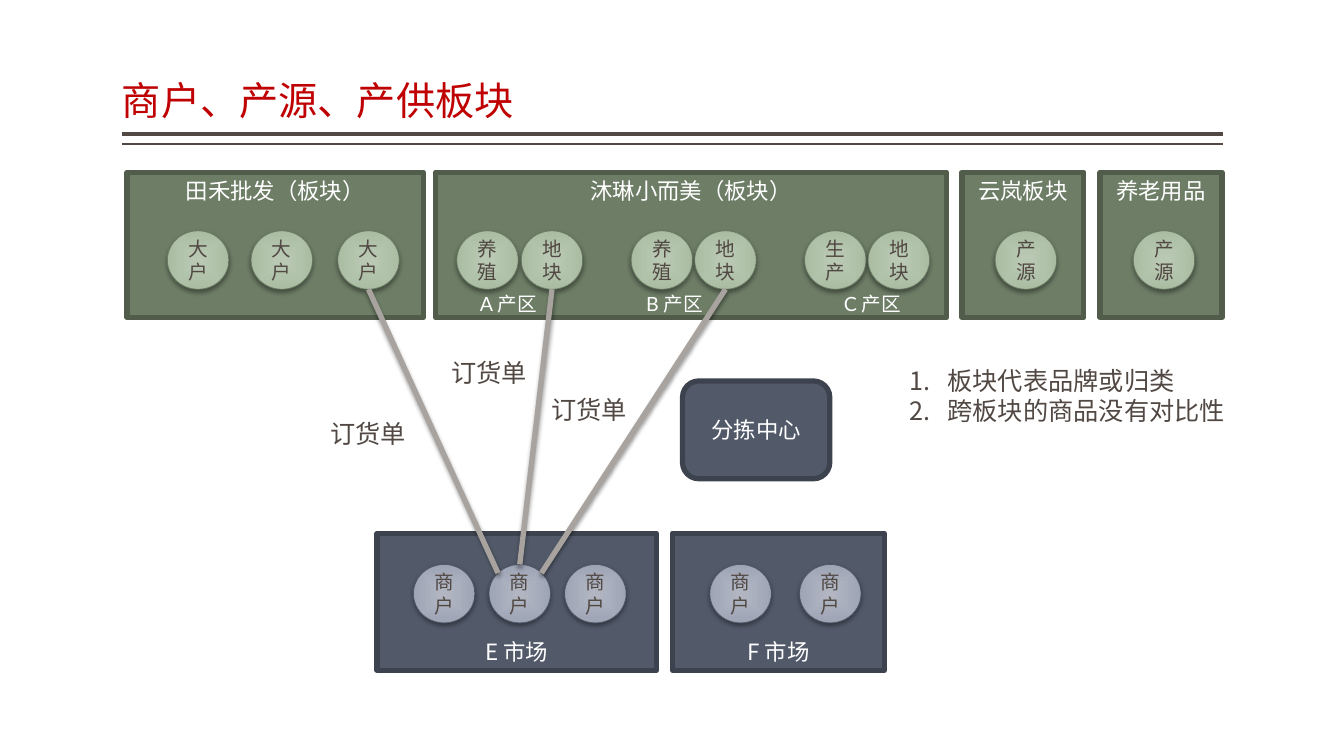
from dataclasses import dataclass
from math import cos, pi, sin

from lxml import etree
from pptx import Presentation
from pptx.dml.color import RGBColor
from pptx.enum.shapes import MSO_CONNECTOR, MSO_SHAPE
from pptx.enum.text import MSO_ANCHOR, MSO_AUTO_SIZE, PP_ALIGN
from pptx.oxml.ns import qn
from pptx.shapes.autoshape import Shape
from pptx.shapes.connector import Connector
from pptx.slide import Slide
from pptx.text.text import _Paragraph
from pptx.util import Pt

STRAIGHT = MSO_CONNECTOR.STRAIGHT
RECT, ROUND_RECT, OVAL = MSO_SHAPE.RECTANGLE, MSO_SHAPE.ROUNDED_RECTANGLE, MSO_SHAPE.OVAL
TOP, MIDDLE, BOTTOM = MSO_ANCHOR.TOP, MSO_ANCHOR.MIDDLE, MSO_ANCHOR.BOTTOM
LEFT, CENTER = PP_ALIGN.LEFT, PP_ALIGN.CENTER
FIT_SHAPE, NO_FIT = MSO_AUTO_SIZE.SHAPE_TO_FIT_TEXT, MSO_AUTO_SIZE.NONE

EMU_PER_PX = 9144
NODE_W, NODE_H = 61, 58
OVAL_SITES = 8
SITE_TOP, SITE_TOP_LEFT, SITE_BOTTOM, SITE_TOP_RIGHT = 0, 1, 4, 7


@dataclass(frozen=True)
class Palette:
    panel: str
    panel_line: str
    node_inner: str
    node_outer: str
    node_line: str


@dataclass(frozen=True)
class Theme:
    cjk: str = "Noto Sans CJK SC"
    latin: str = "Lato"
    title: str = "BF0102"
    text: str = "514843"
    light: str = "FFFFFF"
    order: str = "A8A39E"
    shadow: str = "000000"
    title_size: int = 28
    note_size: int = 18
    panel_size: int = 16
    node_size: int = 14
    panel_line: float = 3.78
    node_line: float = 0.5
    order_line: float = 3.82
    green: Palette = Palette("6D7D66", "515C4B", "BAC9B4", "AABDA3", "6A7B63")
    slate: Palette = Palette("525A6A", "3D434E", "B1B6C2", "9EA5B5", "505868")


THEME = Theme()


@dataclass(frozen=True)
class Panel:
    label: str
    x: int
    w: int
    nodes: tuple[tuple[str, int], ...]


@dataclass(frozen=True)
class Row:
    y: int
    h: int
    node_y: int
    anchor: MSO_ANCHOR
    palette: Palette
    panels: tuple[Panel, ...]


@dataclass(frozen=True)
class Label:
    text: str
    x: int
    y: int
    w: int
    h: int
    size: int
    color: str


SOURCES = Row(171, 144, 229, TOP, THEME.green, (
    Panel("田禾批发（板块）", 126, 294, (("大户", 166), ("大户", 249), ("大户", 335))),
    Panel("沐琳小而美（板块）", 432, 507, (
        ("养殖", 453), ("地块", 517), ("养殖", 626),
        ("地块", 689), ("生产", 798), ("地块", 861))),
    Panel("云岚板块", 954, 121, (("产源", 987),)),
    Panel("养老用品", 1091, 121, (("产源", 1124),)),
))
MARKETS = Row(529, 136, 560, BOTTOM, THEME.slate, (
    Panel("E 市场", 374, 277, (("商户", 410), ("商户", 485), ("商户", 560))),
    Panel("F 市场", 667, 210, (("商户", 704), ("商户", 793))),
))
LABELS = tuple(
    Label(f"{name} 产区", x, 285, w, 34, THEME.node_size, THEME.light)
    for name, x, w in (("A", 466, 99), ("B", 631, 99), ("C", 827, 88))
) + tuple(
    Label("订货单", x, y, w, 40, THEME.note_size, THEME.text)
    for x, y, w in ((438, 350, 99), (318, 410, 108), (537, 386, 99))
)
NOTES = ("板块代表品牌或归类", "跨板块的商品没有对比性")
TITLE_RULES = ((133, 3), (143, 1))


def px(n: float) -> int:
    return round(n * EMU_PER_PX)


def rgb(color: str) -> RGBColor:
    return RGBColor.from_string(color)


def add_run(p: _Paragraph, text: str, size: int, color: str, font: str = THEME.cjk) -> None:
    r = p.add_run()
    r.text = text
    r.font.size = Pt(size)
    r.font.name = font
    r.font.color.rgb = rgb(color)
    etree.SubElement(r.font._element, qn("a:ea"), typeface=THEME.cjk)


def add_shadow(effects: etree._Element, blur: float) -> None:
    shadow = etree.SubElement(effects, qn("a:outerShdw"), blurRad=str(Pt(blur)),
                              dist=str(Pt(2)), dir="5400000", rotWithShape="0")
    color = etree.SubElement(shadow, qn("a:srgbClr"), val=THEME.shadow)
    etree.SubElement(color, qn("a:alpha"), val="38000")


def add_box(s: Slide, kind: MSO_SHAPE, x: int, y: int, w: int, h: int, text: str,
            size: int, color: str, line: str, weight: float, anchor: MSO_ANCHOR) -> Shape:
    sp = s.shapes.add_shape(kind, px(x), px(y), px(w), px(h))
    sp.shadow.inherit = False
    sp.line.color.rgb = rgb(line)
    sp.line.width = Pt(weight)
    tf = sp.text_frame
    tf.word_wrap = True
    tf.vertical_anchor = anchor
    p = tf.paragraphs[0]
    p.alignment = CENTER
    add_run(p, text, size, color)
    return sp


def add_panel(s: Slide, kind: MSO_SHAPE, x: int, y: int, w: int, h: int, text: str,
              palette: Palette, anchor: MSO_ANCHOR) -> None:
    sp = add_box(s, kind, x, y, w, h, text, THEME.panel_size, THEME.light,
                 palette.panel_line, THEME.panel_line, anchor)
    sp.fill.solid()
    sp.fill.fore_color.rgb = rgb(palette.panel)


def add_node(s: Slide, x: int, y: int, text: str, palette: Palette) -> Shape:
    sp = add_box(s, OVAL, x, y, NODE_W, NODE_H, text, THEME.node_size, THEME.text,
                 palette.node_line, THEME.node_line, MIDDLE)
    sp.fill.gradient()
    for stop, position, color in zip(sp.fill.gradient_stops, (0, 1),
                                     (palette.node_inner, palette.node_outer)):
        stop.position = position
        stop.color.rgb = rgb(color)
    gradient = sp._element.spPr.find(qn("a:gradFill"))
    gradient.remove(gradient.find(qn("a:lin")))
    shade = etree.SubElement(gradient, qn("a:path"), {"path": "rect"})
    etree.SubElement(shade, qn("a:fillToRect"), dict.fromkeys("ltrb", "50000"))
    add_shadow(sp._element.spPr.find(qn("a:effectLst")), 3.5)
    return sp


def add_row(s: Slide, row: Row) -> list[list[Shape]]:
    for panel in row.panels:
        add_panel(s, RECT, panel.x, row.y, panel.w, row.h, panel.label, row.palette, row.anchor)
    return [[add_node(s, x, row.node_y, text, row.palette) for text, x in panel.nodes]
            for panel in row.panels]


def add_line(s: Slide, start: tuple[int, int], end: tuple[int, int],
             color: str, weight: float) -> tuple[Connector, etree._Element]:
    line = s.shapes.add_connector(STRAIGHT, *start, *end)
    line.line.color.rgb = rgb(color)
    line.line.width = Pt(weight)
    return line, etree.SubElement(line._element.spPr, qn("a:effectLst"))


def site_point(sp: Shape, site: int) -> tuple[int, int]:
    angle = 2 * pi * site / OVAL_SITES
    return (round(sp.left + sp.width / 2 * (1 - sin(angle))),
            round(sp.top + sp.height / 2 * (1 - cos(angle))))


def add_order(s: Slide, merchant: Shape, site: int, source: Shape) -> None:
    ends = (("a:stCxn", merchant, site), ("a:endCxn", source, SITE_BOTTOM))
    start, end = (site_point(sp, idx) for _, sp, idx in ends)
    line, effects = add_line(s, start, end, THEME.order, THEME.order_line)
    add_shadow(effects, 3.1)
    for tag, sp, idx in ends:
        etree.SubElement(line._element.nvCxnSpPr.cNvCxnSpPr, qn(tag),
                         id=str(sp.shape_id), idx=str(idx))


def add_label(s: Slide, label: Label) -> None:
    tf = s.shapes.add_textbox(px(label.x), px(label.y), px(label.w), px(label.h)).text_frame
    tf.word_wrap = True
    tf.auto_size = FIT_SHAPE
    add_run(tf.paragraphs[0], label.text, label.size, label.color, THEME.latin)


def add_notes(s: Slide) -> None:
    tf = s.shapes.add_textbox(px(892), px(357), px(336), px(71)).text_frame
    tf.word_wrap = False
    tf.auto_size = FIT_SHAPE
    for i, note in enumerate(NOTES):
        p = tf.add_paragraph() if i else tf.paragraphs[0]
        pPr = p._p.get_or_add_pPr()
        pPr.set("marL", str(px(38)))
        pPr.set("indent", str(px(-38)))
        etree.SubElement(pPr, qn("a:buFont"), typeface=THEME.cjk)
        etree.SubElement(pPr, qn("a:buAutoNum"), type="arabicPeriod")
        add_run(p, note, THEME.note_size, THEME.text)


def add_title(s: Slide, text: str) -> None:
    sp = s.shapes.title
    sp.left, sp.top, sp.width, sp.height = px(121), px(8), px(1092), px(120)
    tf = sp.text_frame
    tf.margin_left = tf.margin_right = 0
    tf.margin_top = tf.margin_bottom = px(5)
    tf.vertical_anchor = BOTTOM
    tf.auto_size = NO_FIT
    p = tf.paragraphs[0]
    p.alignment = LEFT
    p.line_spacing = 0.9
    add_run(p, text, THEME.title_size, THEME.title)
    for y, weight in TITLE_RULES:
        add_line(s, (px(121), px(y)), (px(1213), px(y)), THEME.text, weight)


def main() -> None:
    prs = Presentation()
    prs.slide_width, prs.slide_height = px(1333), px(750)
    s = prs.slides.add_slide(prs.slide_layouts[5])
    add_title(s, "商户、产源、产供板块")
    add_panel(s, ROUND_RECT, 677, 378, 146, 97, "分拣中心", THEME.slate, MIDDLE)
    wholesale, boutique, *_ = add_row(s, SOURCES)
    merchant = add_row(s, MARKETS)[0][1]
    for site, source in ((SITE_TOP, boutique[1]), (SITE_TOP_RIGHT, boutique[3]),
                         (SITE_TOP_LEFT, wholesale[2])):
        add_order(s, merchant, site, source)
    for label in LABELS:
        add_label(s, label)
    add_notes(s)
    prs.save("out.pptx")


if __name__ == "__main__":
    main()
